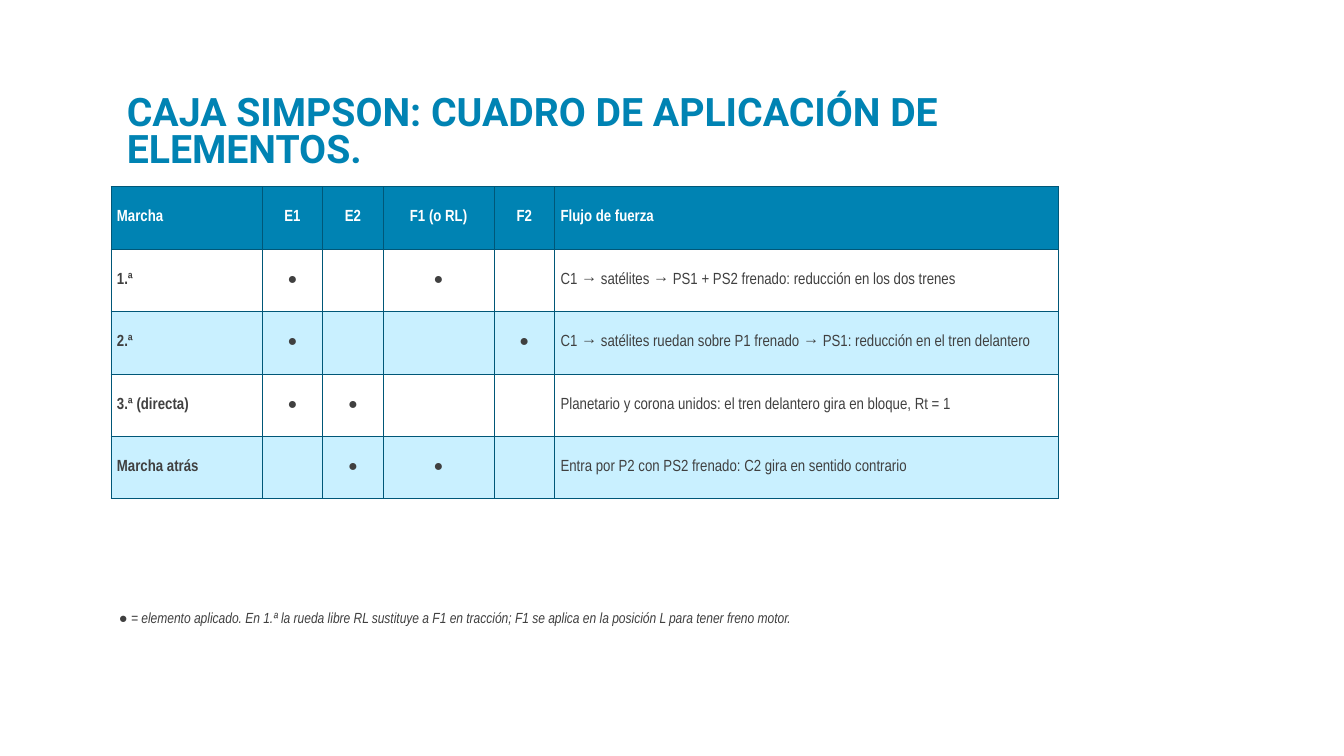
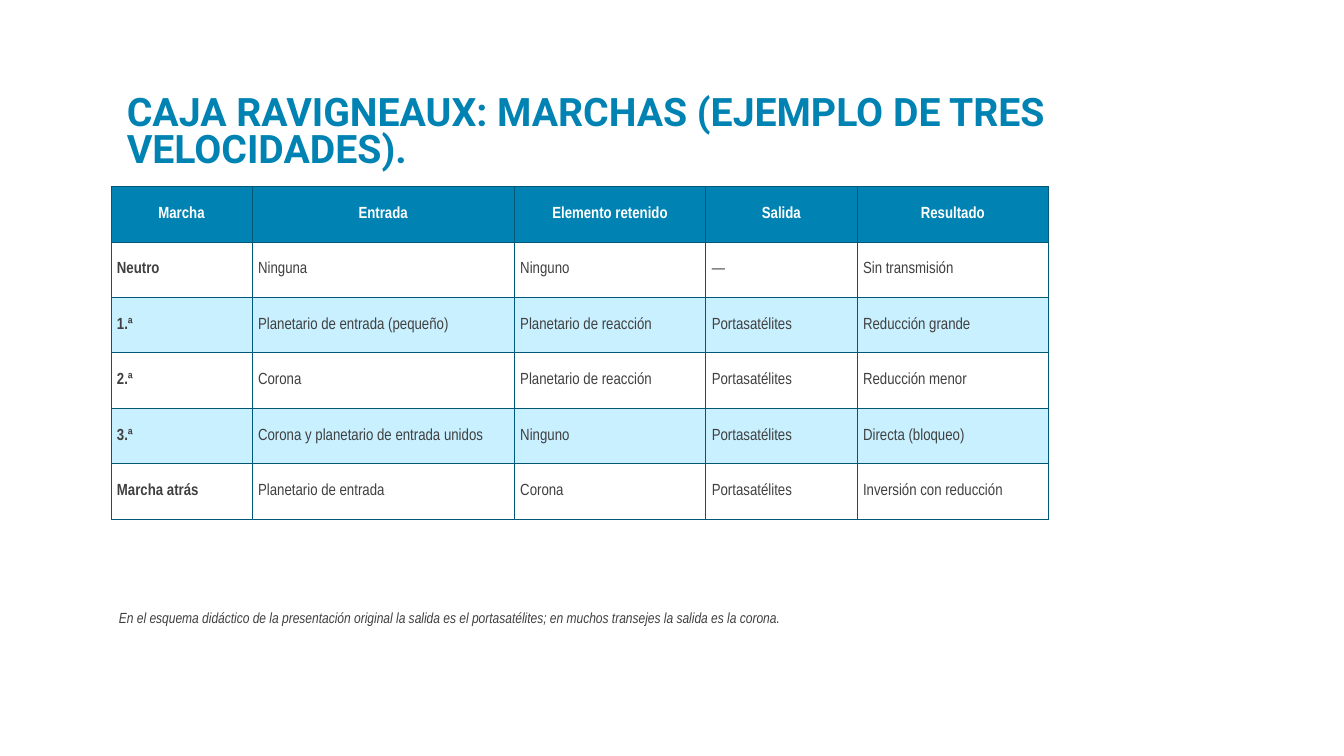
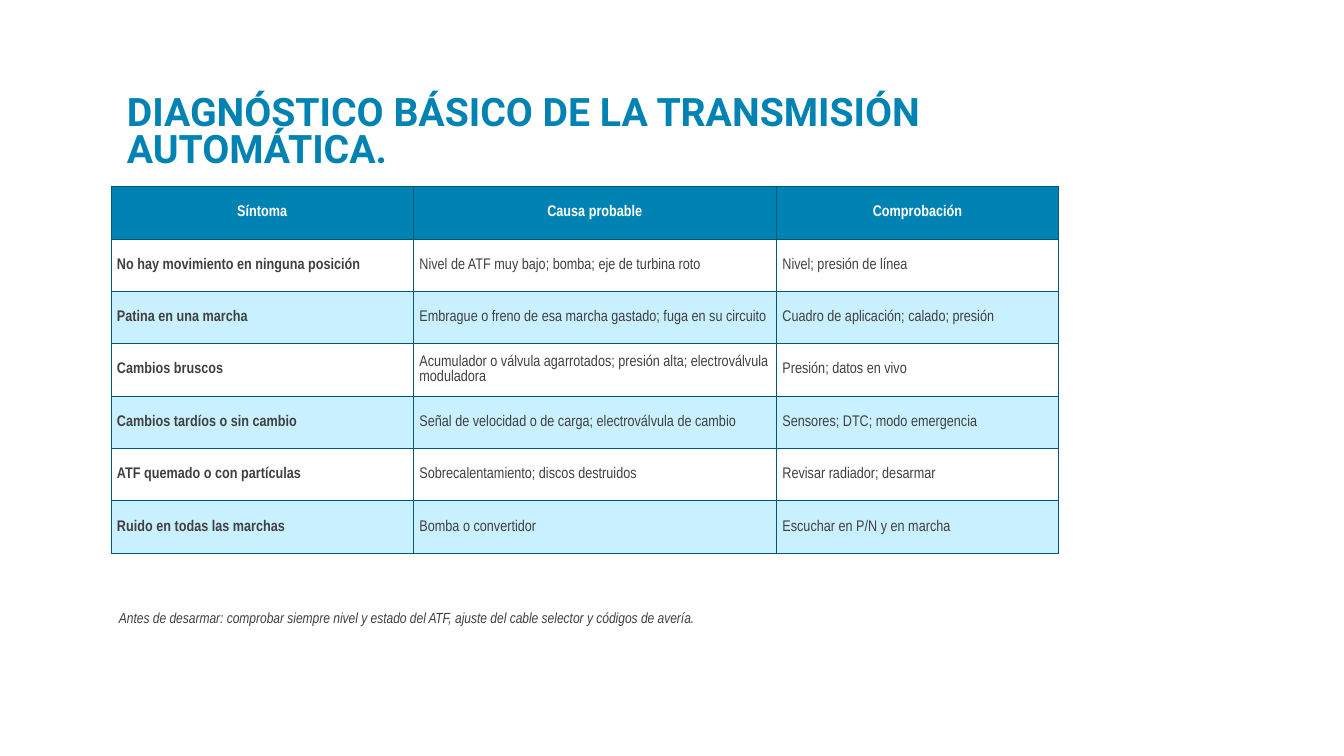
from lxml.etree import SubElement
from pptx import Presentation
from pptx.dml.color import RGBColor
from pptx.enum.text import MSO_ANCHOR as Anchor, PP_ALIGN as Align
from pptx.oxml.ns import qn
from pptx.util import Pt

PX = 9144
BLUE, DARK_BLUE, PALE_BLUE = "0083B3", "005778", "C9F0FF"
WHITE, GREY = "FFFFFF", "404040"
TITLE_FONT, BODY_FONT = "Roboto", "Arial Narrow"
TITLE_AREA = (116, 58, 950, 117)
NOTE_AREA = (110, 600, 900, 30)
TABLE_LEFT, TABLE_TOP = 110, 185
BORDER_WIDTH = Pt(0.5)

SLIDES = [
    {
        "title": "CAJA SIMPSON: CUADRO DE APLICACIÓN DE ELEMENTOS.",
        "note": "● = elemento aplicado. En 1.ª la rueda libre RL sustituye a F1 en tracción; "
                "F1 se aplica en la posición L para tener freno motor.",
        "widths": [150, 60, 60, 110, 60, 500],
        "row_height": 62,
        "size": 11.5,
        "centred_heads": range(1, 5),
        "centred_columns": range(1, 5),
        "rows": [
            ("Marcha", "E1", "E2", "F1 (o RL)", "F2", "Flujo de fuerza"),
            ("1.ª", "●", "", "●", "",
             "C1 → satélites → PS1 + PS2 frenado: reducción en los dos trenes"),
            ("2.ª", "●", "", "", "●",
             "C1 → satélites ruedan sobre P1 frenado → PS1: reducción en el tren delantero"),
            ("3.ª (directa)", "●", "●", "", "",
             "Planetario y corona unidos: el tren delantero gira en bloque, Rt = 1"),
            ("Marcha atrás", "", "●", "●", "",
             "Entra por P2 con PS2 frenado: C2 gira en sentido contrario"),
        ],
    },
    {
        "title": "CAJA RAVIGNEAUX: MARCHAS (EJEMPLO DE TRES VELOCIDADES).",
        "note": "En el esquema didáctico de la presentación original la salida es el "
                "portasatélites; en muchos transejes la salida es la corona.",
        "widths": [140, 260, 190, 150, 190],
        "row_height": 55,
        "size": 11.5,
        "centred_heads": range(5),
        "centred_columns": (),
        "rows": [
            ("Marcha", "Entrada", "Elemento retenido", "Salida", "Resultado"),
            ("Neutro", "Ninguna", "Ninguno", "—", "Sin transmisión"),
            ("1.ª", "Planetario de entrada (pequeño)", "Planetario de reacción",
             "Portasatélites", "Reducción grande"),
            ("2.ª", "Corona", "Planetario de reacción", "Portasatélites", "Reducción menor"),
            ("3.ª", "Corona y planetario de entrada unidos", "Ninguno",
             "Portasatélites", "Directa (bloqueo)"),
            ("Marcha atrás", "Planetario de entrada", "Corona",
             "Portasatélites", "Inversión con reducción"),
        ],
    },
    {
        "title": "DIAGNÓSTICO BÁSICO DE LA TRANSMISIÓN AUTOMÁTICA.",
        "note": "Antes de desarmar: comprobar siempre nivel y estado del ATF, "
                "ajuste del cable selector y códigos de avería.",
        "widths": [300, 360, 280],
        "row_height": 52,
        "size": 11,
        "centred_heads": range(3),
        "centred_columns": (),
        "rows": [
            ("Síntoma", "Causa probable", "Comprobación"),
            ("No hay movimiento en ninguna posición",
             "Nivel de ATF muy bajo; bomba; eje de turbina roto", "Nivel; presión de línea"),
            ("Patina en una marcha",
             "Embrague o freno de esa marcha gastado; fuga en su circuito",
             "Cuadro de aplicación; calado; presión"),
            ("Cambios bruscos",
             "Acumulador o válvula agarrotados; presión alta; electroválvula moduladora",
             "Presión; datos en vivo"),
            ("Cambios tardíos o sin cambio",
             "Señal de velocidad o de carga; electroválvula de cambio",
             "Sensores; DTC; modo emergencia"),
            ("ATF quemado o con partículas",
             "Sobrecalentamiento; discos destruidos", "Revisar radiador; desarmar"),
            ("Ruido en todas las marchas", "Bomba o convertidor", "Escuchar en P/N y en marcha"),
        ],
    },
]


def colour(value):
    return RGBColor.from_string(value)


def px(*lengths):
    return [length * PX for length in lengths]


def set_margins(holder, across, down):
    holder.margin_left = holder.margin_right = across * PX
    holder.margin_top = holder.margin_bottom = down * PX


def style(para, name, size, shade, bold=False, italic=False):
    font = para.font
    font.name, font.size, font.bold, font.italic = name, Pt(size), bold, italic
    font.color.rgb = colour(shade)


def add_text(page, area, text, margins, anchor=Anchor.TOP):
    frame = page.shapes.add_textbox(*px(*area)).text_frame
    frame.word_wrap = True
    frame.vertical_anchor = anchor
    set_margins(frame, *margins)
    para = frame.paragraphs[0]
    para.text = text
    return para


def add_borders(cell):
    properties = cell._tc.get_or_add_tcPr()
    for side in ("a:lnL", "a:lnR", "a:lnT", "a:lnB"):
        line = SubElement(properties, qn(side), w=str(BORDER_WIDTH))
        fill = SubElement(line, qn("a:solidFill"))
        SubElement(fill, qn("a:srgbClr"), val=DARK_BLUE)


def fill_cell(cell, text, shade, size, ink, bold, centred):
    add_borders(cell)
    cell.fill.solid()
    cell.fill.fore_color.rgb = colour(shade)
    cell.vertical_anchor = Anchor.MIDDLE
    set_margins(cell, 6, 4)
    para = cell.text_frame.paragraphs[0]
    para.text = text
    para.alignment = Align.CENTER if centred else Align.LEFT
    style(para, BODY_FONT, size, ink, bold=bold)


def add_grid(page, content):
    rows, widths, height = content["rows"], content["widths"], content["row_height"]
    area = px(TABLE_LEFT, TABLE_TOP, sum(widths), height * len(rows))
    table = page.shapes.add_table(len(rows), len(widths), *area).table
    table.first_row = table.horz_banding = False
    for column, width in zip(table.columns, widths):
        column.width = width * PX
    for r, texts in enumerate(rows):
        table.rows[r].height = height * PX
        head = r == 0
        shade = BLUE if head else (PALE_BLUE, WHITE)[r % 2]
        centred = content["centred_heads" if head else "centred_columns"]
        for c, text in enumerate(texts):
            fill_cell(table.cell(r, c), text, shade, content["size"],
                      WHITE if head else GREY, head or c == 0, c in centred)


def main():
    deck = Presentation()
    deck.slide_width, deck.slide_height = px(1333, 750)
    for content in SLIDES:
        page = deck.slides.add_slide(deck.slide_layouts[6])
        title = add_text(page, TITLE_AREA, content["title"], (10, 5), Anchor.BOTTOM)
        title.line_spacing = 0.8
        style(title, TITLE_FONT, 28, BLUE, bold=True)
        add_grid(page, content)
        note = add_text(page, NOTE_AREA, content["note"], (8, 4))
        style(note, BODY_FONT, 10.5, GREY, italic=True)
    deck.save("out.pptx")


if __name__ == "__main__":
    main()
